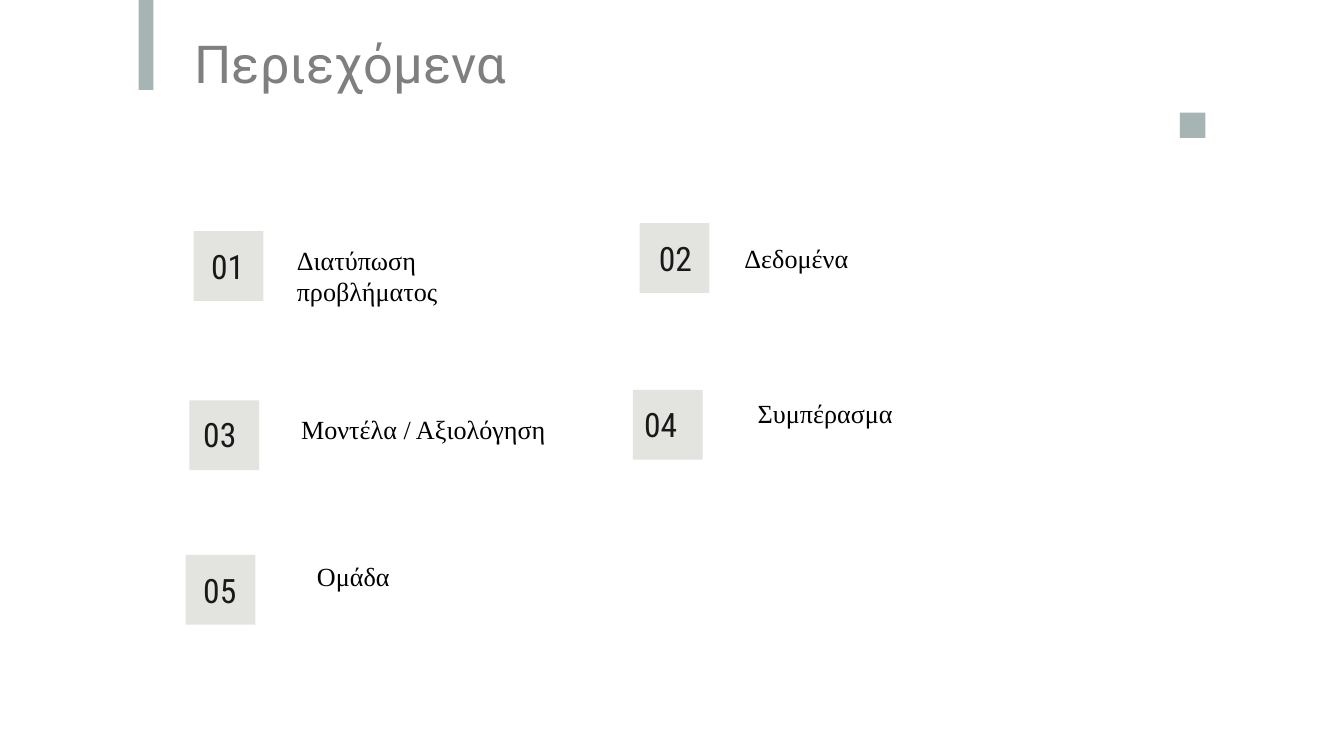
from pptx import Presentation
from pptx.dml.color import RGBColor
from pptx.enum.shapes import MSO_SHAPE
from pptx.enum.text import MSO_ANCHOR, MSO_AUTO_SIZE, PP_ALIGN
from pptx.util import Cm, Pt

RECTANGLE = MSO_SHAPE.RECTANGLE
TOP, MIDDLE = MSO_ANCHOR.TOP, MSO_ANCHOR.MIDDLE
LEFT, CENTER = PP_ALIGN.LEFT, PP_ALIGN.CENTER
NO_AUTOFIT = MSO_AUTO_SIZE.NONE

ACCENT = RGBColor(0xA6, 0xB4, 0xB3)
TILE = RGBColor(0xE3, 0xE4, 0xE0)
TITLE_GREY = RGBColor(0x7F, 0x7F, 0x7F)
NUMBER_INK = RGBColor(0x1A, 0x19, 0x19)
BLACK = RGBColor(0, 0, 0)

# Content: label, then left and top of tile, number and label in cm
TITLE = "Περιεχόμενα"
SECTIONS = [
    ("Διατύπωση προβλήματος", (3.66, 4.37), (3.43, 4.24), (5.36, 4.37)),
    ("Δεδομένα", (12.09, 4.22), (11.89, 4.09), (13.82, 4.34)),
    ("Μοντέλα / Αξιολόγηση", (3.58, 7.57), (3.28, 7.42), (5.44, 7.57)),
    ("Συμπέρασμα", (11.96, 7.37), (11.61, 7.24), (14.07, 7.26)),
    ("Ομάδα", (3.51, 10.49), (3.28, 10.36), (5.74, 10.34)),
]
TILE_SIZE = (1.32, 1.32)
NUMBER_SIZE = (1.75, 1.57)
LABEL_SIZE = (5.44, 1.6)
ACCENTS = [((2.62, 0), (0.28, 1.7)), ((22.3, 2.13), (0.48, 0.48))]


def add_block(slide, position, size, color):
    shape = slide.shapes.add_shape(RECTANGLE, *map(Cm, position + size))
    shape.shadow.inherit = False
    shape.fill.solid()
    shape.fill.fore_color.rgb = color
    shape.line.fill.background()


def write(shape, text, font_name, size, color, anchor=MIDDLE, alignment=LEFT):
    frame = shape.text_frame
    frame.text = text
    frame.word_wrap = True
    frame.auto_size = NO_AUTOFIT
    frame.vertical_anchor = anchor
    frame.margin_left = frame.margin_right = Cm(0.25)
    frame.margin_top = frame.margin_bottom = Cm(0.25)
    paragraph = frame.paragraphs[0]
    paragraph.alignment = alignment
    paragraph.line_spacing = 1.0
    paragraph.space_before = Pt(0)
    paragraph.font.name = font_name
    paragraph.font.size = Pt(size)
    paragraph.font.color.rgb = color
    return paragraph


presentation = Presentation()
presentation.slide_width, presentation.slide_height = Cm(25.4), Cm(14.29)
slide = presentation.slides.add_slide(presentation.slide_layouts[5])

# Accent marks
for position, size in ACCENTS:
    add_block(slide, position, size, ACCENT)

# Title
title = slide.shapes.title
title.left, title.top, title.width, title.height = map(Cm, (3.43, 0.53, 9.32, 1.32))
write(title, TITLE, "Roboto", 28, TITLE_GREY)

# Numbered sections
for index, (label, tile_at, number_at, label_at) in enumerate(SECTIONS, start=1):
    add_block(slide, tile_at, TILE_SIZE, TILE)
    number_box = slide.shapes.add_textbox(*map(Cm, number_at + NUMBER_SIZE))
    write(number_box, f"{index:02d}", "Roboto Condensed", 18, NUMBER_INK, alignment=CENTER)
    label_box = slide.shapes.add_textbox(*map(Cm, label_at + LABEL_SIZE))
    paragraph = write(label_box, label, "Times New Roman", 14, BLACK, anchor=TOP)
    paragraph.space_after = Pt(16)

presentation.save("out.pptx")
